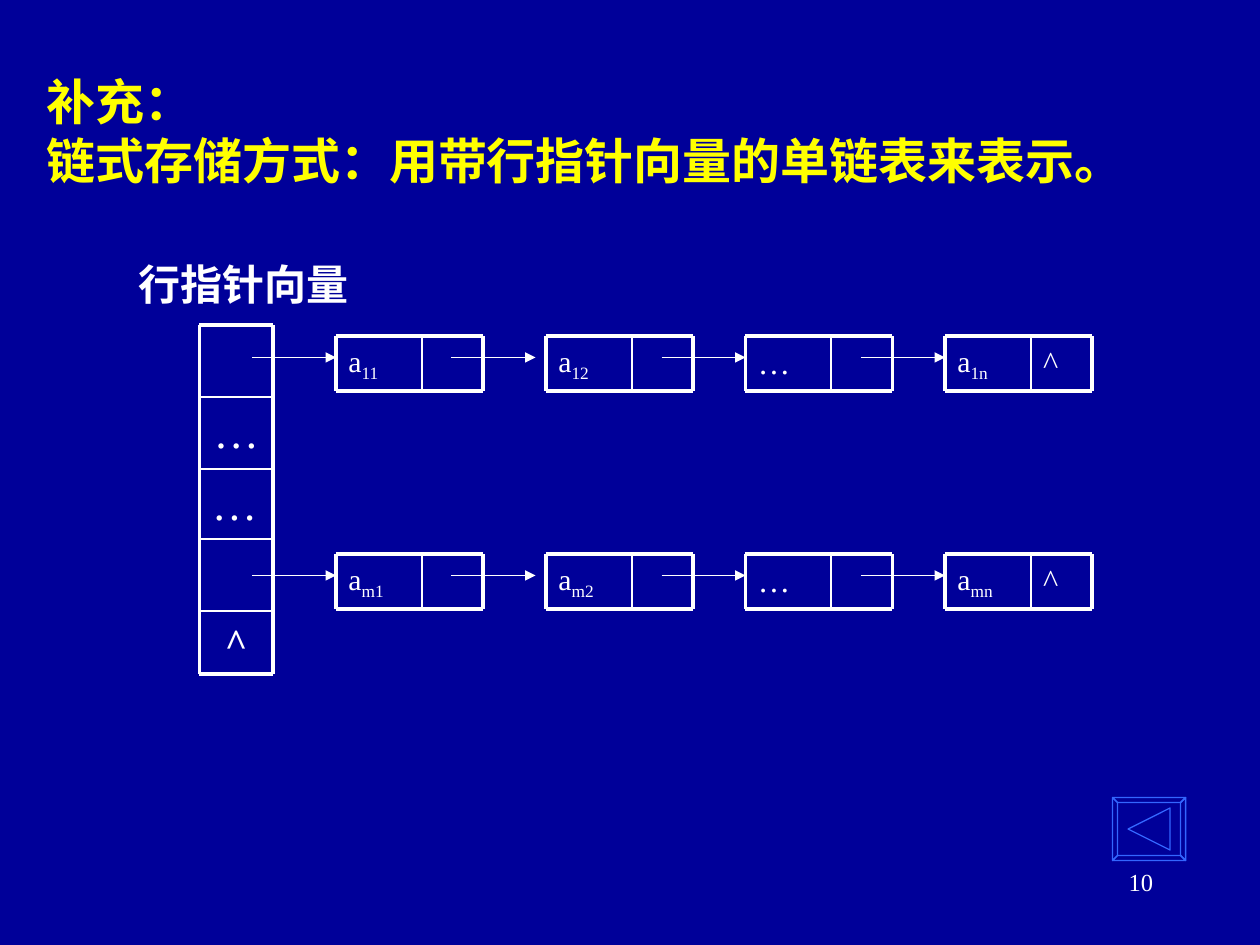
from dataclasses import dataclass

from lxml import etree
from pptx import Presentation
from pptx.dml.color import RGBColor
from pptx.enum.shapes import MSO_CONNECTOR
from pptx.enum.text import MSO_ANCHOR, MSO_AUTO_SIZE, PP_ALIGN
from pptx.oxml.ns import qn
from pptx.util import Inches, Pt

LEFT, CENTER, RIGHT = PP_ALIGN.LEFT, PP_ALIGN.CENTER, PP_ALIGN.RIGHT
STRAIGHT = MSO_CONNECTOR.STRAIGHT


@dataclass(frozen=True)
class Theme:
    font: str = "Times New Roman"
    background: RGBColor = RGBColor(0x00, 0x00, 0x99)
    title: RGBColor = RGBColor(0xFF, 0xFF, 0x00)
    ink: RGBColor = RGBColor(0xFF, 0xFF, 0xFF)
    button: RGBColor = RGBColor(0x33, 0x66, 0xFF)
    title_size: float = 28
    label_size: float = 24
    page_size: float = 14
    node_size: float = 17
    mark_size: float = 18.5
    dots_size: float = 25.9
    null_size: float = 22.2
    frame: float = 2.25
    divider: float = 1
    thin: float = 0.75


THEME = Theme()

TITLE = ["补充：", "链式存储方式：用带行指针向量的单链表来表示。"]
LABEL = "行指针向量"
PAGE = "10"
# Text, alignment, size, bold; an empty text is a cell with an arrow
VECTOR = [
    ("", LEFT, 0, False),
    ("…", CENTER, THEME.dots_size, False),
    ("…", LEFT, THEME.dots_size, False),
    ("", LEFT, 0, False),
    ("^", CENTER, THEME.null_size, True),
]
# Each node is its text and its subscript
ROWS = [
    (2.67, [("a", "11"), ("a", "12"), ("…", ""), ("a", "1n")]),
    (4.40, [("a", "m1"), ("a", "m2"), ("…", ""), ("a", "mn")]),
]

COL = 1 / 12  # grid column in inches
VECTOR_LEFT, VECTOR_RIGHT = 19 * COL, 26 * COL
VECTOR_EDGES = [2.58, 3.15, 3.72, 4.28, 4.85, 5.35]
NODE_LEFTS = [n * COL for n in (32, 52, 71, 90)]
NODE_W, NODE_H, DATA_W = 14 * COL, 0.43, 0.68
ARROW_START, ARROW_W, ARROW_DROP = 11 * COL, 8 * COL, 2 * COL


def style(p, size, color=THEME.ink, bold=False, align=LEFT, before=0):
    p.alignment = align
    p.space_before = Pt(before)
    f = p.font
    f.name, f.size, f.bold = THEME.font, Pt(size), bold
    f.color.rgb = color


def add_text(shapes, box, text, size, sub="", **look):
    tf = shapes.add_textbox(*map(Inches, box)).text_frame
    tf.word_wrap = True
    p = tf.paragraphs[0]
    p.add_run().text = text
    if sub:
        r = p.add_run()
        r.text = sub
        r.font._element.set("baseline", "-25000")
    style(p, size, **look)


def add_line(shapes, x1, y1, x2, y2, width, arrow=False):
    c = shapes.add_connector(STRAIGHT, *map(Inches, (x1, y1, x2, y2)))
    c.line.color.rgb = THEME.ink
    c.line.width = Pt(width)
    if arrow:
        etree.SubElement(c.line._get_or_add_ln(), qn("a:tailEnd"), type="triangle")
    etree.SubElement(c._element.spPr, qn("a:effectLst"))


def add_grid(shapes, xs, ys):
    """Draw a ruled box with thick outer and thin inner lines."""
    for y in ys:
        add_line(shapes, xs[0], y, xs[-1], y,
                 THEME.frame if y in (ys[0], ys[-1]) else THEME.divider)
    for x in xs:
        add_line(shapes, x, ys[0], x, ys[-1],
                 THEME.frame if x in (xs[0], xs[-1]) else THEME.divider)


def add_vector(shapes):
    for top, bottom, cell in zip(VECTOR_EDGES, VECTOR_EDGES[1:], VECTOR):
        text, align, size, bold = cell
        if text:
            box = (VECTOR_LEFT, top, VECTOR_RIGHT - VECTOR_LEFT, bottom - top)
            add_text(shapes, box, text, size, bold=bold, align=align, before=7 - bold)
    add_grid(shapes, [VECTOR_LEFT, VECTOR_RIGHT], VECTOR_EDGES)


def add_row(shapes, top, nodes):
    arrow_y = top + ARROW_DROP
    starts = [24 * COL] + [left + ARROW_START for left in NODE_LEFTS[:-1]]
    for left, start, (text, sub) in zip(NODE_LEFTS, starts, nodes):
        split, right = left + DATA_W, left + NODE_W
        size = THEME.node_size if sub else THEME.mark_size
        add_text(shapes, (left, top, DATA_W, NODE_H), text, size, sub, before=5)
        add_grid(shapes, [left, split, right], [top, top + NODE_H])
        add_line(shapes, start, arrow_y, start + ARROW_W, arrow_y, THEME.thin, True)
    add_text(shapes, (split, top, right - split, NODE_H), "^", THEME.mark_size, before=5)


def add_back_button(shapes, *box):
    left, top, width, height = map(Inches, box)

    def corners(inset):
        x1, y1 = left + inset, top + inset
        x2, y2 = left + width - inset, top + height - inset
        return [(x1, y1), (x2, y1), (x2, y2), (x1, y2)]

    outer, inner = corners(0), corners(Inches(0.04))
    faces = [[outer[i - 1], outer[i], inner[i], inner[i - 1]] for i in range(4)]
    mid_x, mid_y, reach = left + width / 2, top + height / 2, height / 3
    triangle = [(mid_x + reach, mid_y - reach), (mid_x - reach, mid_y),
                (mid_x + reach, mid_y + reach)]
    fb = shapes.build_freeform(*outer[0])
    fb.add_line_segments(outer[1:])
    for first, *rest in faces + [triangle]:
        fb.move_to(*first)
        fb.add_line_segments(rest)
    s = fb.convert_to_shape()
    s.shadow.inherit = False
    s.fill.background()
    s.line.color.rgb = THEME.button
    s.line.width = Pt(THEME.thin)


def add_title(s):
    s.left, s.top, s.width, s.height = map(Inches, (0.27, 0.52, 9.06, 1.04))
    tf = s.text_frame
    tf.word_wrap = True
    tf.auto_size = MSO_AUTO_SIZE.NONE
    tf.vertical_anchor = MSO_ANCHOR.TOP
    p = tf.paragraphs[0]
    p.text = "\n".join(TITLE)
    style(p, THEME.title_size, THEME.title, bold=True)


def main():
    prs = Presentation()
    prs.slide_width, prs.slide_height = Inches(10), Inches(7.5)
    slide = prs.slides.add_slide(prs.slide_layouts[5])
    slide.background.fill.solid()
    slide.background.fill.fore_color.rgb = THEME.background
    shapes = slide.shapes

    add_title(shapes.title)
    add_text(shapes, (7.17, 6.83, 2.08, 0.5), PAGE, THEME.page_size, align=RIGHT)
    add_vector(shapes.add_group_shape().shapes)
    add_text(shapes, (1, 2, 2.5, 0.5), LABEL, THEME.label_size, bold=True, before=6)
    for top, nodes in ROWS:
        add_row(shapes.add_group_shape().shapes, top, nodes)
    add_back_button(shapes, 8.83, 6.33, 0.58, 0.5)
    prs.save("out.pptx")


if __name__ == "__main__":
    main()
